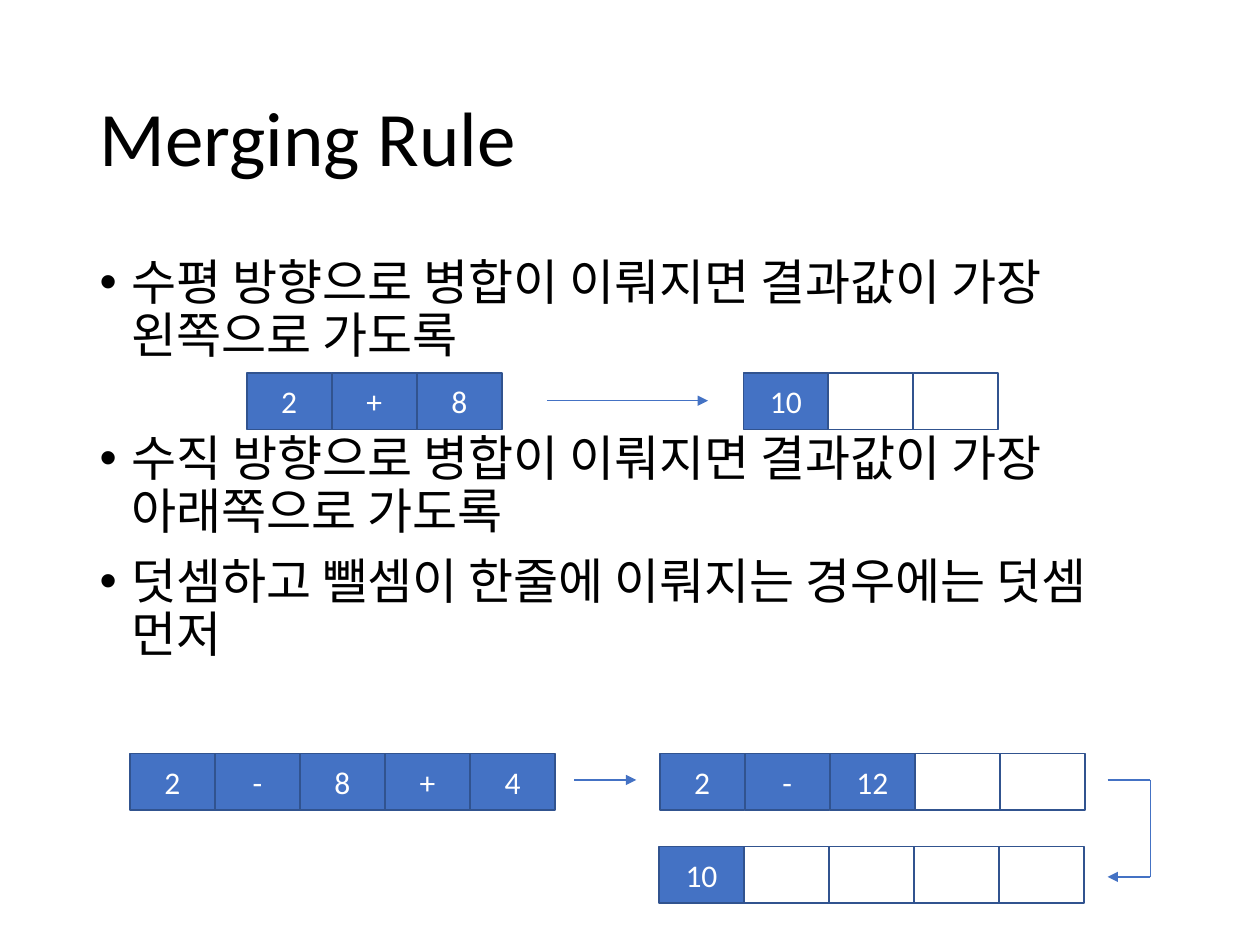
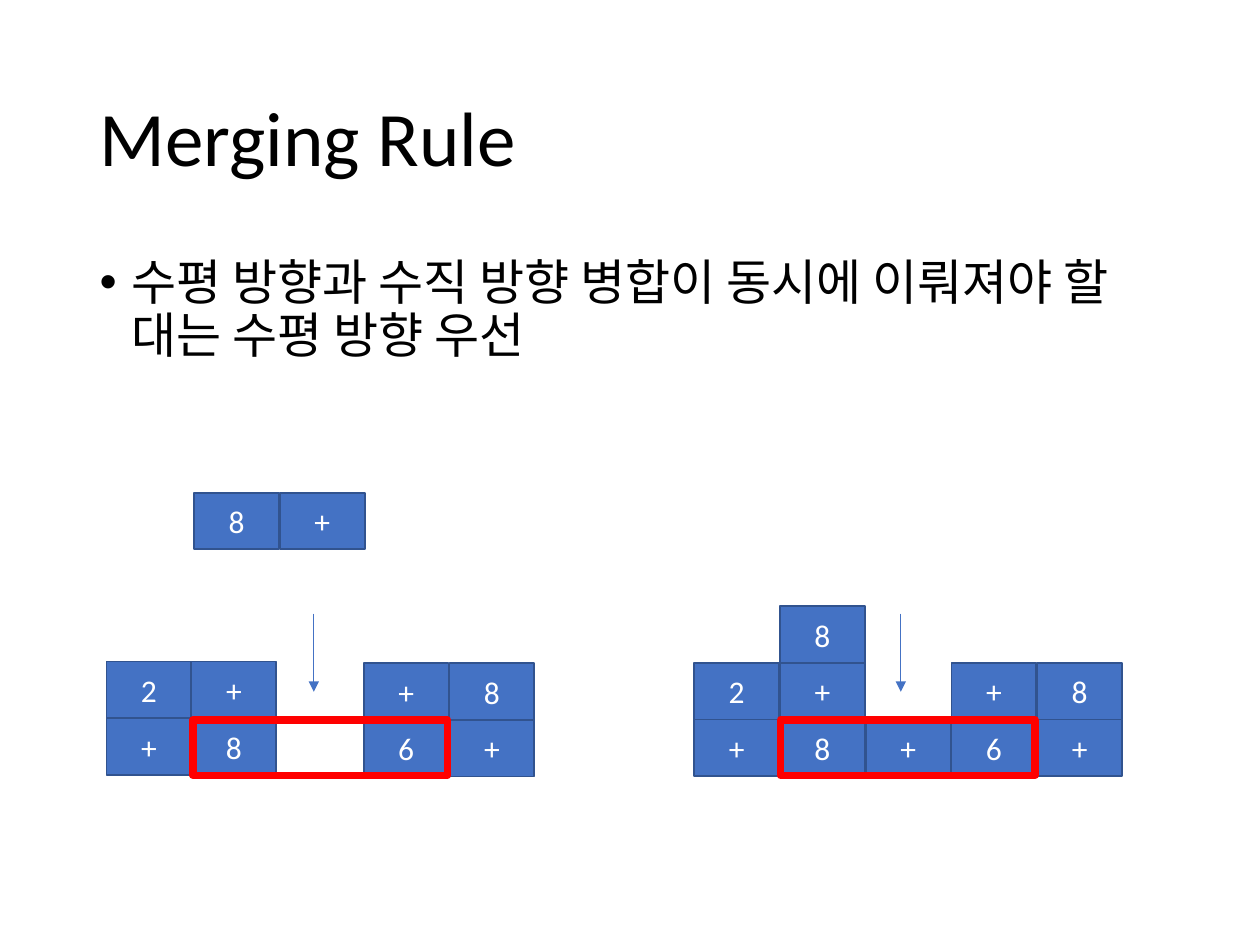
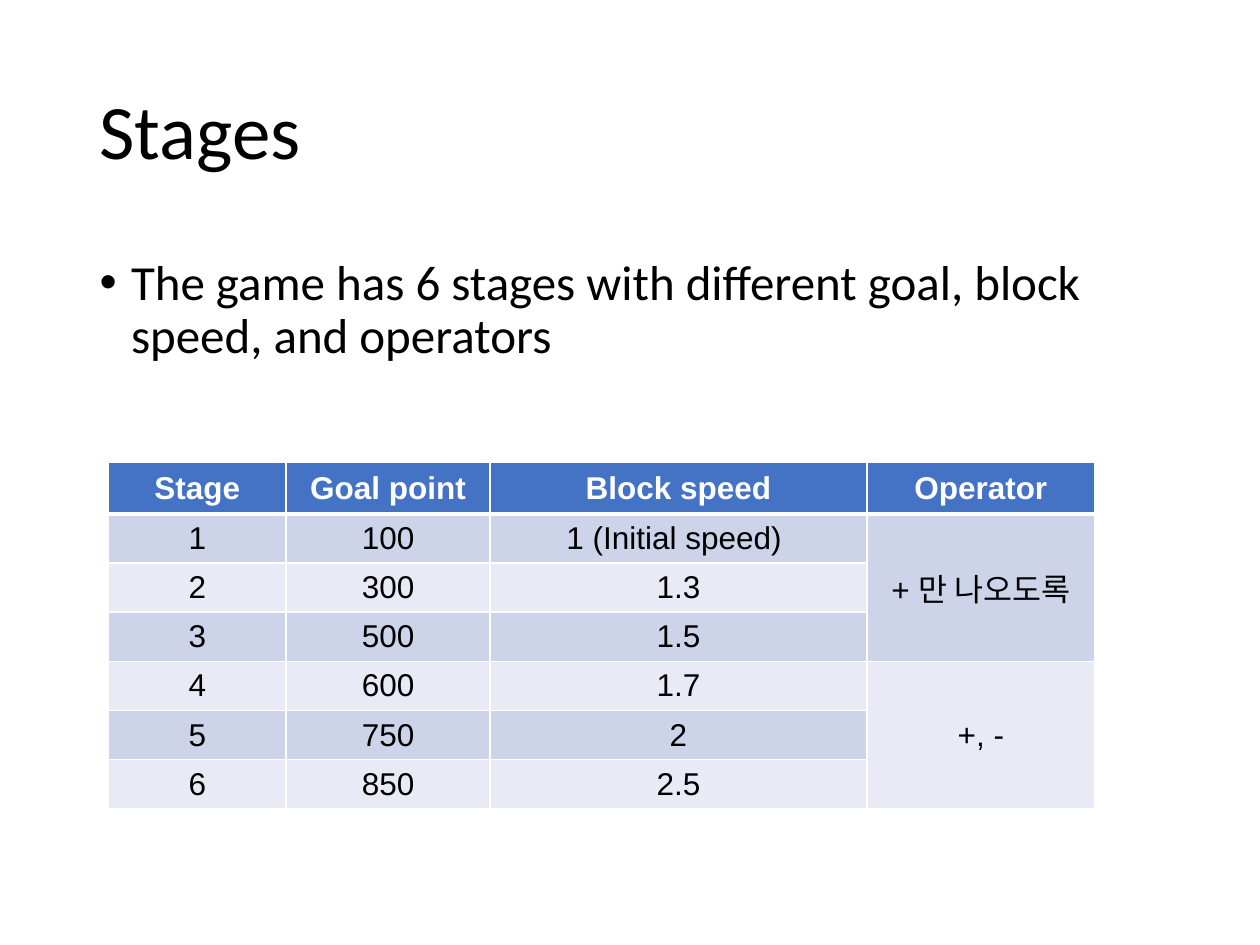
from itertools import pairwise

from lxml import etree
from pptx import Presentation
from pptx.dml.color import RGBColor
from pptx.enum.shapes import MSO_CONNECTOR, MSO_SHAPE
from pptx.enum.text import MSO_ANCHOR, MSO_AUTO_SIZE, PP_ALIGN
from pptx.oxml.ns import qn
from pptx.util import Pt

RECT = MSO_SHAPE.RECTANGLE
LINE = MSO_CONNECTOR.STRAIGHT
LEFT, CENTER = PP_ALIGN.LEFT, PP_ALIGN.CENTER
TOP, MIDDLE = MSO_ANCHOR.TOP, MSO_ANCHOR.MIDDLE
NO_FIT = MSO_AUTO_SIZE.NONE

COLORS = {
    "text": "000000", "white": "FFFFFF", "block": "4472C4",
    "edge": "31538F", "mark": "FF0000", "odd": "CDD4EA", "even": "E8EBF5",
}
FONT, TABLE_FONT = "Calibri", "Arial"
BLOCK_W, BLOCK_H = 48.5, 32.4
STEP, WIDE_STEP = 48.6, 49

STAGES = [
    ["Stage", "Goal point", "Block speed", "Operator"],
    ["1", "100", "1 (Initial speed) ", "+ 만 나오도록"],
    ["2", "300", "1.3", ""],
    ["3", "500", "1.5", ""],
    ["4", "600", "1.7", "+, -"],
    ["5", "750", "2", ""],
    ["6", "850", "2.5", ""],
]


def color(name):
    return RGBColor.from_string(COLORS[name])


def place(shape, box):
    shape.left, shape.top, shape.width, shape.height = map(Pt, box)


def style(para, size, name, align, font=FONT, bold=False):
    para.alignment = align
    for run in para.runs:
        run.font.size = Pt(size)
        run.font.name = font
        run.font.bold = bold
        run.font.color.rgb = color(name)


def add_page(deck, title, items, gaps=(0,), top=28.8, height=342.7):
    """Add a slide with a title and a bullet list; gaps go above each item."""
    slide = deck.slides.add_slide(deck.slide_layouts[1])
    head, body = slide.placeholders
    place(head, (49.7, top, 620.6, 104.4))
    place(body, (49.7, 144, 620.6, height))
    head.text_frame.text = title
    body.text_frame.text = "\n".join(items)
    for shape, size, anchor in ((head, 44, MIDDLE), (body, 28, TOP)):
        frame = shape.text_frame
        frame.auto_size = NO_FIT
        frame.vertical_anchor = anchor
        for para in frame.paragraphs:
            style(para, size, "text", LEFT)
            para.line_spacing = 0.9
    for para, gap in zip(body.text_frame.paragraphs, gaps):
        para.space_before = Pt(gap)
        props = para._p.get_or_add_pPr()
        props.set("marL", str(Pt(18)))
        props.set("indent", str(-Pt(18)))
    return slide


def add_rect(slide, box, fill, edge, width):
    shape = slide.shapes.add_shape(RECT, *map(Pt, box))
    shape.shadow.inherit = False
    if fill:
        shape.fill.solid()
        shape.fill.fore_color.rgb = color(fill)
    else:
        shape.fill.background()
    shape.line.color.rgb = color(edge)
    shape.line.width = Pt(width)
    return shape


def add_blocks(slide, x, y, rows, step=STEP):
    """Draw a grid of blocks: "" is an empty block, None is no block."""
    for r, row in enumerate(rows):
        for c, label in enumerate(row):
            if label is None:
                continue
            box = (x + c * step, y + r * BLOCK_H, BLOCK_W, BLOCK_H)
            block = add_rect(slide, box, "block" if label else "white", "edge", 1)
            if label:
                frame = block.text_frame
                frame.text = label
                frame.vertical_anchor = MIDDLE
                style(frame.paragraphs[0], 18, "white", CENTER)


def add_arrow(slide, *points):
    """Join the points with lines, with an arrowhead at the last one."""
    for start, end in pairwise(points):
        line = slide.shapes.add_connector(LINE, *map(Pt, start + end))
        line.line.color.rgb = color("block")
        line.line.width = Pt(0.75)
        etree.SubElement(line._element.spPr, qn("a:effectLst"))
    tail = etree.SubElement(line.line._get_or_add_ln(), qn("a:tailEnd"))
    tail.set("type", "triangle")


def add_border(cell, side, width):
    props = cell._tc.get_or_add_tcPr()
    edge = etree.SubElement(props, qn("a:" + side), w=str(Pt(width)))
    fill = etree.SubElement(edge, qn("a:solidFill"))
    etree.SubElement(fill, qn("a:srgbClr"), val=COLORS["white"])


def add_stages(slide, x, y):
    widths = (101.5, 116.6, 215.3, 130.3)
    heights = [29.5] + [28.1] * 6
    box = (x, y, sum(widths), sum(heights))
    table = slide.shapes.add_table(len(STAGES), 4, *map(Pt, box)).table
    for col, width in zip(table.columns, widths):
        col.width = Pt(width)
    for row, height in zip(table.rows, heights):
        row.height = Pt(height)
    for r, row in enumerate(STAGES):
        for c, label in enumerate(row):
            cell = table.cell(r, c)
            cell.text = label
            cell.vertical_anchor = MIDDLE
            # Borders come before the fill in the cell properties
            for side in ("lnL", "lnR", "lnT", "lnB"):
                thick = (r, side) in ((0, "lnB"), (1, "lnT"))
                add_border(cell, side, 3 if thick else 1)
            shade = r if c < 3 else (r + 2) // 3
            cell.fill.solid()
            cell.fill.fore_color.rgb = color(
                "block" if r == 0 else "odd" if shade % 2 else "even")
            style(cell.text_frame.paragraphs[0], 18,
                  "text" if r else "white", CENTER, TABLE_FONT, r == 0)
    # Each operator covers three stages
    for first in (1, 4):
        table.cell(first, 3).merge(table.cell(first + 2, 3))


def add_merging(deck):
    slide = add_page(deck, "Merging Rule", [
        "수평 방향으로 병합이 이뤄지면 결과값이 가장 왼쪽으로 가도록",
        "수직 방향으로 병합이 이뤄지면 결과값이 가장 아래쪽으로 가도록",
        "덧셈하고 뺄셈이 한줄에 이뤄지는 경우에는 덧셈 먼저",
    ], gaps=(0, 40, 10), height=382.3)
    # Sum moves to the left
    add_blocks(slide, 141, 213, [["2", "+", "8"]])
    add_arrow(slide, (312.5, 229), (404.6, 229))
    add_blocks(slide, 424.8, 213, [["10", "", ""]])
    # Addition goes first
    add_blocks(slide, 74.2, 430.6, [["2", "-", "8", "+", "4"]])
    add_arrow(slide, (328.3, 445.7), (363.6, 445.7))
    add_blocks(slide, 377, 430.6, [["2", "-", "12", "", ""]])
    add_arrow(slide, (632.9, 445.7), (657.4, 445.7),
              (657.4, 501.1), (632.9, 501.1))
    add_blocks(slide, 376.6, 483.8, [["10", "", "", "", ""]])


def add_order(deck):
    slide = add_page(deck, "Merging Rule", [
        "수평 방향과 수직 방향 병합이 동시에 이뤄져야 할 대는 수평 방향 우선"])
    # Before the pair drops
    add_blocks(slide, 110.9, 281.5, [["8", "+"]], WIDE_STEP)
    add_blocks(slide, 60.8, 378, [["2", "+"], ["+", "8"]])
    add_blocks(slide, 207.8, 379, [["+", "8"], ["6", "+"]], WIDE_STEP)
    # After the pair drops
    add_blocks(slide, 396.7, 346.3, [
        [None, "8", None, None, None],
        ["2", "+", None, "+", "8"],
        ["+", "8", "+", "6", "+"],
    ], WIDE_STEP)
    # Drop arrows and merged rows
    for arrow, frame in ((179.3, 110.2), (514.8, 446)):
        add_arrow(slide, (arrow, 350.6), (arrow, 395.3))
        add_rect(slide, (frame, 411.4, 145.5, 31.7), None, "mark", 4.25)


def add_levels(deck):
    slide = add_page(deck, "Stages", [
        "The game has 6 stages with different goal, block speed, and operators",
    ], top=24.5)
    add_stages(slide, 62, 264.2)


def main():
    deck = Presentation()
    deck.slide_width, deck.slide_height = Pt(720), Pt(540)
    add_merging(deck)
    add_order(deck)
    add_levels(deck)
    deck.save("out.pptx")


if __name__ == "__main__":
    main()
